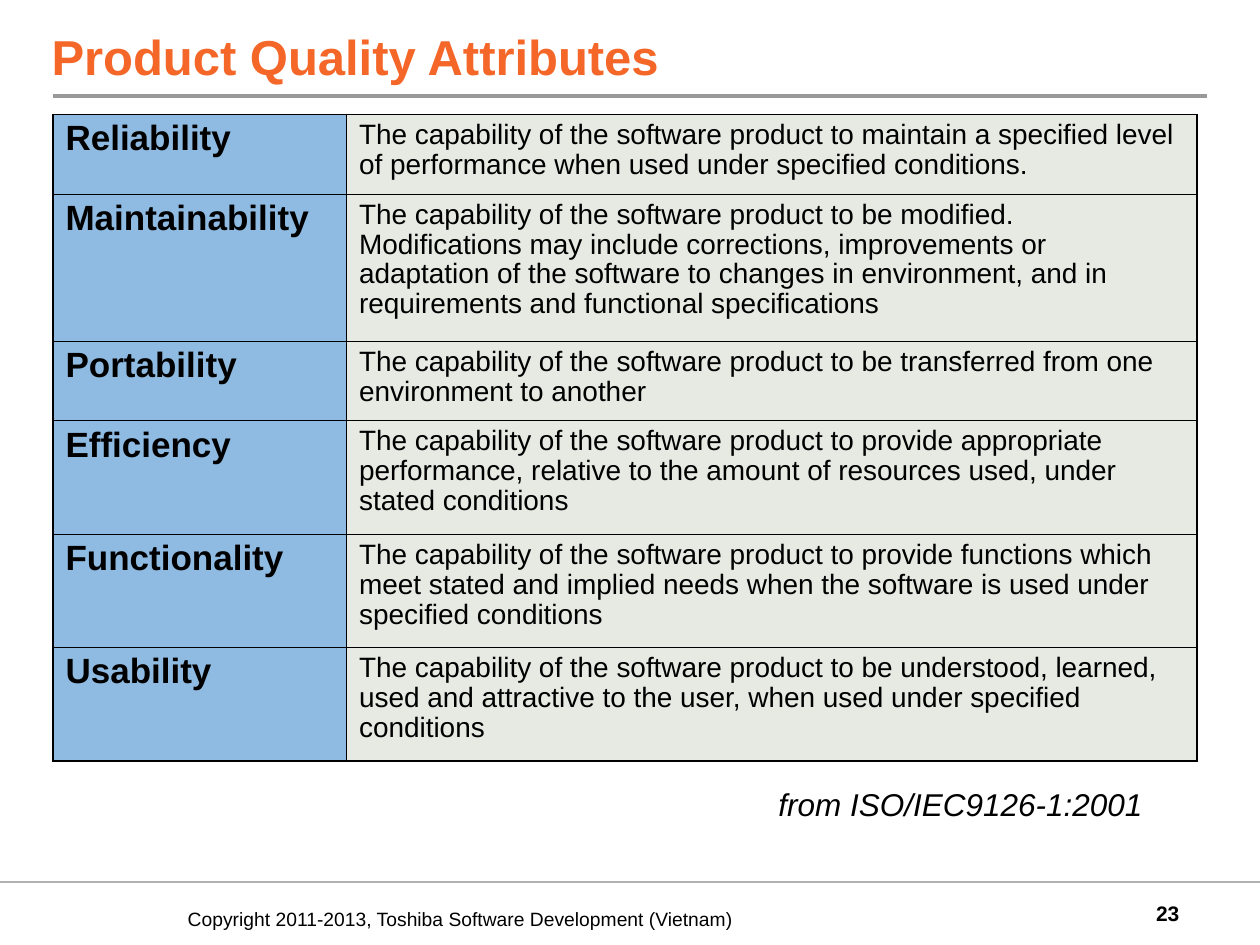
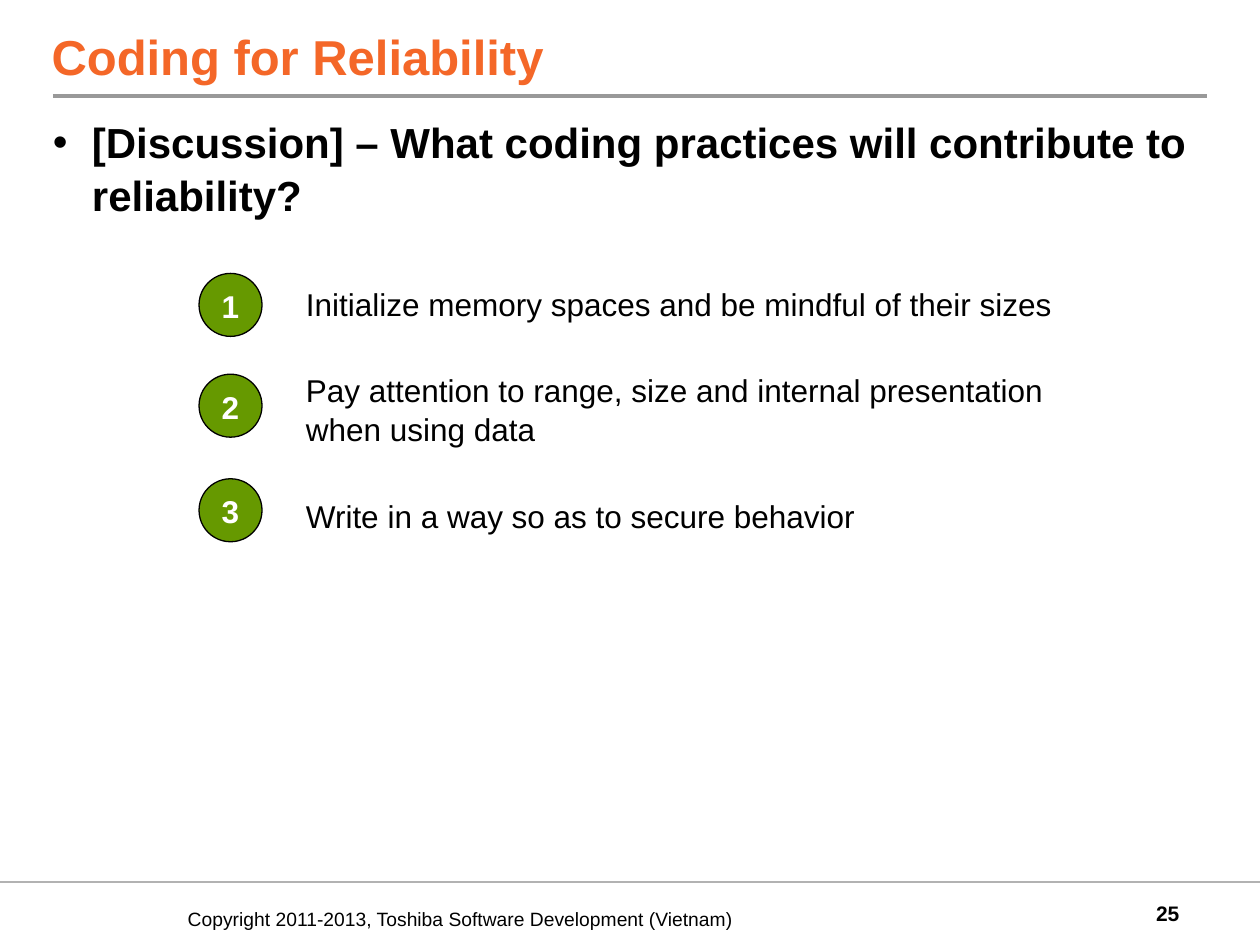
from dataclasses import dataclass

from lxml import etree
from pptx import Presentation
from pptx.dml.color import RGBColor
from pptx.enum import shapes, text
from pptx.oxml import ns
from pptx.util import Inches, Pt


@dataclass(frozen=True)
class Theme:
    font: str = "Arial"
    ink: str = "000000"
    white: str = "FFFFFF"
    accent: str = "F46728"
    rule: str = "999999"
    foot: str = "B2B2B2"
    head: str = "8FBAE1"
    cell: str = "E7E9E3"
    badge: str = "669900"
    title: int = 28
    body: int = 24
    term: int = 20
    note: int = 18
    desc: int = 16
    page: int = 12
    small: int = 11
    loose: float = 1.04
    tight: float = 0.96
    thick: float = 1.08
    thin: float = 0.45


TOP, MID = text.MSO_ANCHOR.TOP, text.MSO_ANCHOR.MIDDLE
LEFT, RIGHT, CENTER = text.PP_ALIGN.LEFT, text.PP_ALIGN.RIGHT, text.PP_ALIGN.CENTER
PAD = (0.1, 0.05)
COPY = "Copyright 2011-2013, Toshiba Software Development (Vietnam)"

QUALITIES = [
    ("Reliability", 0.63, "The capability of the software product to maintain a specified "
     "level of performance when used under specified conditions."),
    ("Maintainability", 1.17, "The capability of the software product to be modified. "
     "Modifications may include corrections, improvements or adaptation of the software "
     "to changes in environment, and in requirements and functional specifications"),
    ("Portability", 0.63, "The capability of the software product to be transferred from "
     "one environment to another"),
    ("Efficiency", 0.9, "The capability of the software product to provide appropriate "
     "performance, relative to the amount of resources used, under stated conditions"),
    ("Functionality", 0.9, "The capability of the software product to provide functions "
     "which meet stated and implied needs when the software is used under specified "
     "conditions"),
    ("Usability", 0.9, "The capability of the software product to be understood, learned, "
     "used and attractive to the user, when used under specified conditions"),
]

# Badge top, text top, text height, text
TIPS = [
    (2.17, 2.2, 0.4, "Initialize memory spaces and be mindful of their sizes"),
    (2.97, 2.88, 0.7, "Pay attention to range, size and internal presentation when using data"),
    (3.8, 3.88, 0.4, "Write in a way so as to secure behavior"),
]


def color(code):
    return RGBColor.from_string(code)


def add(parent, tag, **attrs):
    node = etree.SubElement(parent, ns.qn(tag))
    for key, value in attrs.items():
        node.set(key, str(value))
    return node


class Deck:
    def __init__(self, theme):
        self.theme = theme
        self.prs = Presentation()
        self.prs.slide_width, self.prs.slide_height = Inches(10), Inches(7.5)
        self.slide = None

    def start(self, title, page):
        """Add a slide with the shared title, rules and footer."""
        t = self.theme
        self.slide = self.prs.slides.add_slide(self.prs.slide_layouts[6])
        self.line(0, 10, 7, t.foot, 1)
        self.text((8.94, 7.08, 0.42, 0.33), str(page), t.page, bold=True,
                  align=RIGHT, anchor=MID)
        self.line(0.42, 9.58, 0.76, t.rule, 2.25)
        self.text((1.49, 7.08, 4.93, 0.42), COPY, t.small, anchor=MID)
        self.text((0.41, 0, 9.17, 0.68), title, t.title, t.accent, bold=True,
                  anchor=text.MSO_ANCHOR.BOTTOM)

    def line(self, left, right, y, tone, width):
        rule = self.slide.shapes.add_connector(
            shapes.MSO_CONNECTOR.STRAIGHT, Inches(left), Inches(y), Inches(right), Inches(y))
        rule.line.color.rgb = color(tone)
        rule.line.width = Pt(width)
        add(rule._element.spPr, "a:effectLst")

    def style(self, para, size, tone=None, bold=False, italic=False, align=LEFT,
              after=0, space=None):
        para.alignment = align
        para.space_after = Pt(after)
        para.line_spacing = space or self.theme.loose
        for run in para.runs:
            font = run.font
            font.name, font.size = self.theme.font, Pt(size)
            font.bold, font.italic = bold, italic
            font.color.rgb = color(tone or self.theme.ink)

    def fill(self, frame, words, size, tone=None, anchor=TOP, pad=(0, 0), **look):
        """Put one styled paragraph in a text frame and return it."""
        frame.word_wrap = True
        frame.vertical_anchor = anchor
        frame.margin_left = frame.margin_right = Inches(pad[0])
        frame.margin_top = frame.margin_bottom = Inches(pad[1])
        frame.text = words
        para = frame.paragraphs[0]
        self.style(para, size, tone, **look)
        return para

    def text(self, box, words, size, tone=None, **look):
        shape = self.slide.shapes.add_textbox(*map(Inches, box))
        return self.fill(shape.text_frame, words, size, tone, **look)

    def bullet(self, box, words):
        para = self.text(box, words, self.theme.body, bold=True, after=7.5)
        props = para._p.get_or_add_pPr()
        indent = Inches(0.31)
        props.set("marL", str(indent))
        props.set("indent", str(-indent))
        add(props, "a:buFont", typeface=self.theme.font)
        add(props, "a:buChar", char="•")

    def badge(self, left, top, label):
        t = self.theme
        disc = self.slide.shapes.add_shape(
            shapes.MSO_SHAPE.OVAL, Inches(left), Inches(top), Inches(0.5), Inches(0.5))
        disc.shadow.inherit = False
        disc.fill.solid()
        disc.fill.fore_color.rgb = color(t.badge)
        disc.line.color.rgb = color(t.ink)
        disc.line.width = Pt(0.75)
        self.fill(disc.text_frame, label, t.note, t.white, bold=True, align=CENTER, anchor=MID)

    def border(self, cell, outer):
        """Draw thick lines on the outer sides of a cell, thin ones elsewhere."""
        t = self.theme
        props = cell._tc.get_or_add_tcPr()
        for side in "LRTB":
            width = t.thick if side in outer else t.thin
            edge = add(props, f"a:ln{side}", w=Pt(width))
            add(add(edge, "a:solidFill"), "a:srgbClr", val=t.ink)

    def table(self, left, top, widths, rows):
        t = self.theme
        grid = self.slide.shapes.add_table(
            len(rows), len(widths), Inches(left), Inches(top), Inches(sum(widths)),
            Inches(sum(row[1] for row in rows))).table
        grid.first_row = grid.horz_banding = False
        for col, width in zip(grid.columns, widths):
            col.width = Inches(width)
        looks = [(t.term, True, 6.2, t.head, "L"), (t.desc, False, 5, t.cell, "R")]
        for i, (term, height, desc) in enumerate(rows):
            grid.rows[i].height = Inches(height)
            ends = ("T" if i == 0 else "") + ("B" if i == len(rows) - 1 else "")
            for j, (size, bold, after, back, side) in enumerate(looks):
                cell = grid.cell(i, j)
                cell.margin_left = cell.margin_right = Inches(PAD[0])
                cell.margin_top = cell.margin_bottom = Inches(PAD[1])
                cell.text_frame.text = (term, desc)[j]
                self.style(cell.text_frame.paragraphs[0], size, bold=bold, after=after,
                           space=t.tight)
                self.border(cell, ends + side)
                cell.fill.solid()
                cell.fill.fore_color.rgb = color(back)


def main():
    theme = Theme()
    deck = Deck(theme)

    deck.start("Product Quality Attributes", 23)
    deck.table(0.42, 0.91, (2.33, 6.75), QUALITIES)
    deck.text((6.08, 6.17, 3.2, 0.4), "from ISO/IEC9126-1:2001", theme.note,
              italic=True, pad=PAD)

    deck.start("Coding for Reliability", 25)
    deck.bullet((0.42, 0.91, 9.17, 0.92),
                "[Discussion] – What coding practices will contribute to reliability?")
    for num, (disc, top, height, tip) in enumerate(TIPS, 1):
        deck.badge(1.58, disc, str(num))
        deck.text((2.33, top, 6.67, height), tip, theme.note, pad=PAD)

    deck.prs.save("out.pptx")


if __name__ == "__main__":
    main()
